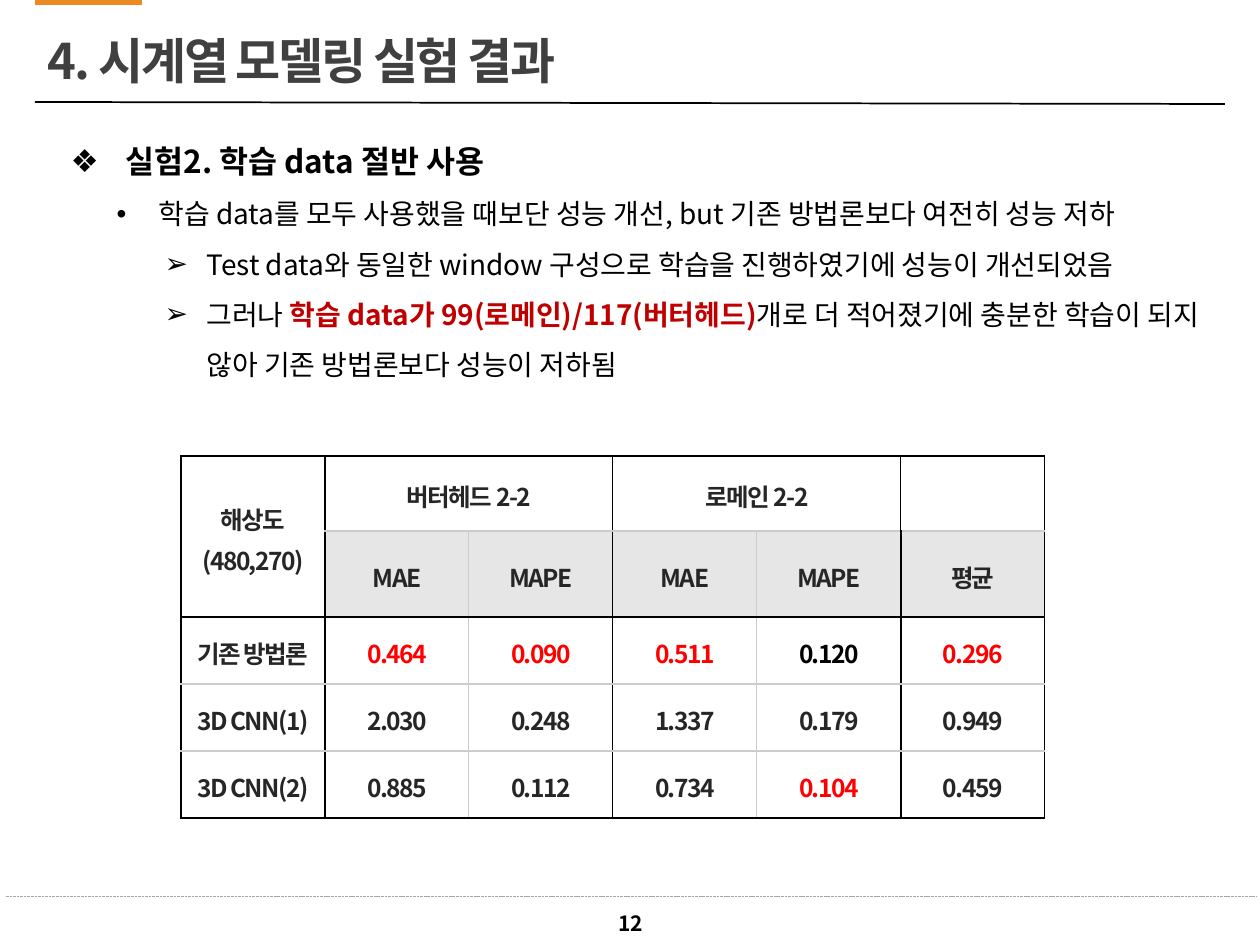
from lxml import etree
from pptx import Presentation, util as u
from pptx.dml.color import RGBColor
from pptx.enum import dml, shapes, text
from pptx.oxml.ns import qn

FONT = "Noto Sans CJK KR"
C = {"black": "000000", "dark": "262626", "title": "404040", "red": "FF0000",
     "crimson": "C00000", "orange": "EC8922", "grey": "CCCCCC",
     "dash": "A6A6A6", "head": "E7E6E6"}


def px(*values):
    return [round(v * 914400 / 126) for v in values]


def add_run(p, words, size, color, bold=True, spc=0):
    r = p.add_run()
    r.text = words
    for name, value in {"name": FONT, "size": u.Pt(size), "bold": bold}.items():
        setattr(r.font, name, value)
    r.font.color.rgb = RGBColor.from_string(C[color])
    rPr = r._r.get_or_add_rPr()
    rPr.set("spc", str(spc))
    rPr.set("kern", "0")
    etree.SubElement(rPr, qn("a:ea"), typeface=FONT)


prs = Presentation()
prs.slide_width, prs.slide_height = px(1260, 945)
s = prs.slides.add_slide(prs.slide_layouts[1])

for ends, color, width in [((35, 102, 1225, 104), "black", 1),
                           ((35, 2, 142, 2), "orange", 3),
                           ((6, 896, 1257, 896), "dash", 0.5)]:
    line = s.shapes.add_connector(shapes.MSO_CONNECTOR.STRAIGHT, *px(*ends))
    line.line.color.rgb = RGBColor.from_string(C[color])
    line.line.width = u.Pt(width)
    if color == "dash":
        line.line.dash_style = dml.MSO_LINE.SQUARE_DOT
    etree.SubElement(line._element.spPr, qn("a:effectLst"))

sp = s.shapes.title
sp.left, sp.top, sp.width, sp.height = px(35, 32, 902, 64)
tf = sp.text_frame
tf.auto_size = text.MSO_AUTO_SIZE.NONE
tf.vertical_anchor = text.MSO_ANCHOR.MIDDLE
p = tf.paragraphs[0]
p.alignment = text.PP_ALIGN.LEFT
p.line_spacing = 0.9
add_run(p, "4. 시계열 모델링 실험 결과", 28, "title", spc=-130)

points = [
    (0, "❖", 55, 55, [("실험2. 학습 data 절반 사용", 18, "black", True)]),
    (1, "•", 88, 42, [("학습 data를 모두 사용했을 때보단 성능 개선, but 기존 방법론보다 여전히 성능 저하", 16, "black", False)]),
    (2, "➢", 136, 42, [("Test data와 동일한 window 구성으로 학습을 진행하였기에 성능이 개선되었음", 16, "black", False)]),
    (2, "➢", 136, 42, [("그러나 ", 16, "black", False),
                       ("학습 data가 99(로메인)/117(버터헤드)", 16, "crimson", True),
                       ("개로 더 적어졌기에 충분한 학습이 되지 않아 기존 방법론보다 성능이 저하됨", 16, "black", False)]),
]
sp = s.placeholders[1]
sp.left, sp.top, sp.width, sp.height = px(58, 117, 1202, 267)
tf = sp.text_frame
tf.auto_size = text.MSO_AUTO_SIZE.NONE
for i, (level, mark, left, hang, runs) in enumerate(points):
    p = tf.add_paragraph() if i else tf.paragraphs[0]
    p.level = level
    p.line_spacing = 1.5
    p.space_before = u.Pt(0)
    pPr = p._p.get_or_add_pPr()
    pPr.set("marL", str(px(left)[0]))
    pPr.set("indent", str(px(-hang)[0]))
    etree.SubElement(pPr, qn("a:buChar"), char=mark)
    for run in runs:
        add_run(p, *run)

rows = [
    ["해상도\n(480,270)", "버터헤드 2-2", "", "로메인 2-2", "", ""],
    ["", "MAE", "MAPE", "MAE", "MAPE", "평균"],
    ["기존 방법론", "0.464", "0.090", "0.511", "0.120", "0.296"],
    ["3D CNN(1)", "2.030", "0.248", "1.337", "0.179", "0.949"],
    ["3D CNN(2)", "0.885", "0.112", "0.734", "0.104", "0.459"],
]
special = {"0.464": "red", "0.090": "red", "0.511": "red", "0.296": "red",
           "0.104": "red", "0.120": "black"}
heights = [75, 86, 67, 67, 67]
frame = s.shapes.add_table(5, 6, *px(181, 456, 864, sum(heights)))
table = frame.table
table.first_row = table.horz_banding = False
for col in table.columns:
    col.width = px(144)[0]
for row, height in zip(table.rows, heights):
    row.height = px(height)[0]
for first, last in [((0, 0), (1, 0)), ((0, 1), (0, 2)), ((0, 3), (0, 4))]:
    table.cell(*first).merge(table.cell(*last))

for y, values in enumerate(rows):
    for x, value in enumerate(values):
        cell = table.cell(y, x)
        if cell.is_spanned:
            continue
        for side in ("left", "right", "top", "bottom"):
            setattr(cell, "margin_" + side, px(2)[0])
        cell.vertical_anchor = text.MSO_ANCHOR.MIDDLE
        tcPr = cell._tc.get_or_add_tcPr()
        right, bottom = x + cell.span_width, y + cell.span_height
        for tag, edge, greys, thick in [
                ("lnL", x, (2, 4), 5 if y else None), ("lnR", right, (2, 4), 5 if y else None),
                ("lnT", y, (1, 3, 4), 5), ("lnB", bottom, (1, 3, 4), 5)]:
            width = u.Pt(1 if edge == thick else 0.75)
            ln = etree.SubElement(tcPr, qn("a:" + tag), w=str(width))
            fill = etree.SubElement(ln, qn("a:solidFill"))
            etree.SubElement(fill, qn("a:srgbClr"), val=C["grey" if edge in greys else "black"])
        if y == 1:
            cell.fill.solid()
            cell.fill.fore_color.rgb = RGBColor.from_string(C["head"])
        else:
            cell.fill.background()
        for i, words in enumerate(value.split("\n") if value else []):
            p = cell.text_frame.add_paragraph() if i else cell.text_frame.paragraphs[0]
            p.alignment = text.PP_ALIGN.CENTER
            p.line_spacing = 1.15
            add_run(p, words, 14, special.get(words, "dark"), spc=-90)

tf = s.shapes.add_textbox(*px(585, 906, 92, 35)).text_frame
tf.word_wrap = True
tf.vertical_anchor = text.MSO_ANCHOR.MIDDLE
tf.paragraphs[0].alignment = text.PP_ALIGN.CENTER
add_run(tf.paragraphs[0], "12", 12, "black")

prs.save("out.pptx")
